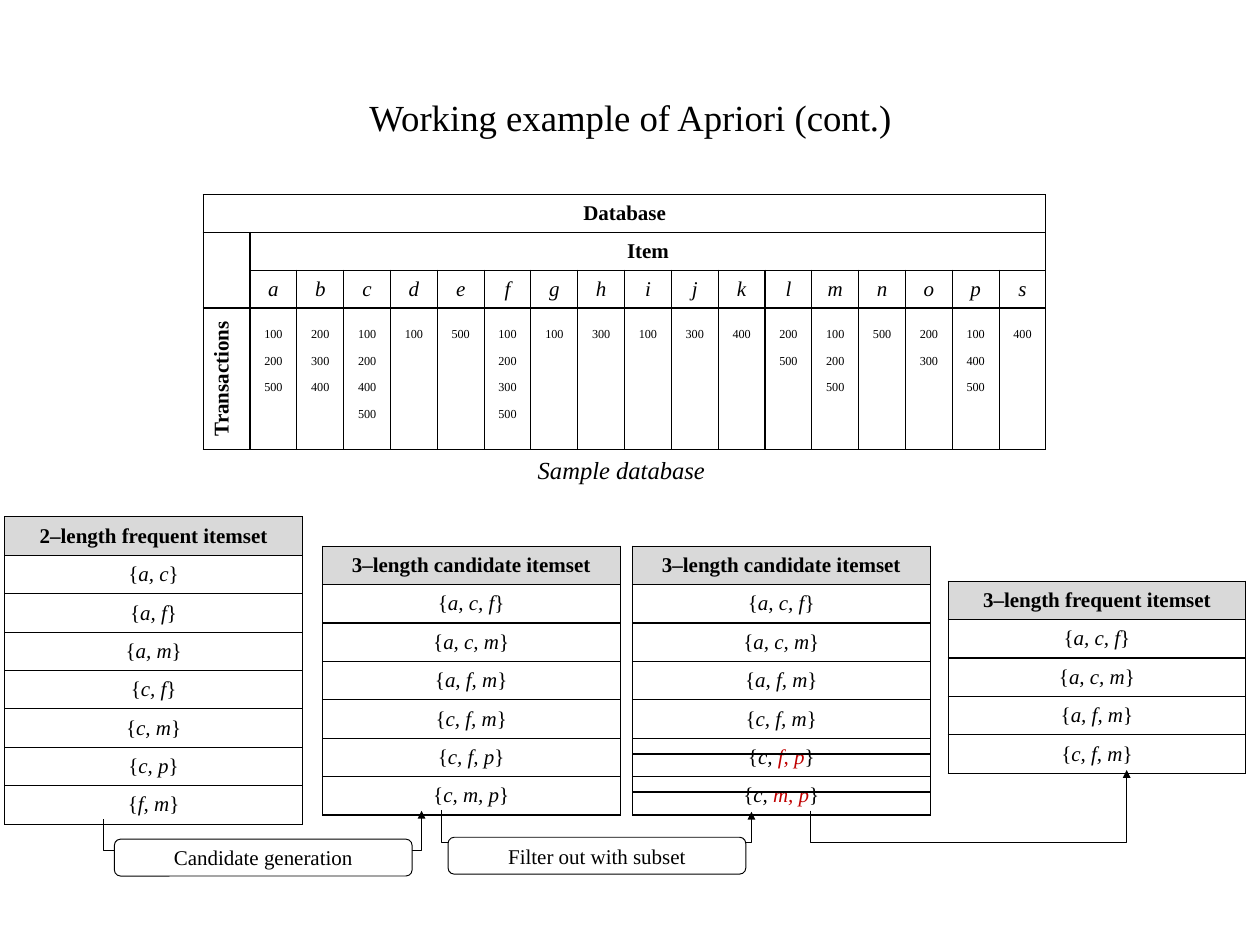
from lxml import etree
from pptx import Presentation
from pptx.dml.color import RGBColor
from pptx.enum.shapes import MSO_CONNECTOR, MSO_SHAPE
from pptx.enum.text import MSO_ANCHOR, PP_ALIGN
from pptx.oxml.ns import qn
from pptx.util import Inches, Pt

STRAIGHT, ELBOW = MSO_CONNECTOR.STRAIGHT, MSO_CONNECTOR.ELBOW
ROUNDED = MSO_SHAPE.ROUNDED_RECTANGLE
CENTER, LEFT = PP_ALIGN.CENTER, PP_ALIGN.LEFT
TOP, MIDDLE = MSO_ANCHOR.TOP, MSO_ANCHOR.MIDDLE
BLACK = RGBColor(0x00, 0x00, 0x00)
WHITE = RGBColor(0xFF, 0xFF, 0xFF)
GRAY = RGBColor(0xD9, 0xD9, 0xD9)
RED = RGBColor(0xC0, 0x00, 0x00)
FONT = "Times New Roman"

# Content: transactions that hold each item
DATABASE = {
    "a": (100, 200, 500), "b": (200, 300, 400), "c": (100, 200, 400, 500),
    "d": (100,), "e": (500,), "f": (100, 200, 300, 500), "g": (100,),
    "h": (300,), "i": (100,), "j": (300,), "k": (400,), "l": (200, 500),
    "m": (100, 200, 500), "n": (500,), "o": (200, 300),
    "p": (100, 400, 500), "s": (400,),
}
PAIRS = ["a, c", "a, f", "a, m", "c, f", "c, m", "c, p", "f, m"]
KEPT = ["a, c, f", "a, c, m", "a, f, m", "c, f, m"]
PRUNED = [("c, ", "f, p"), ("c, ", "m, p")]  # start, infrequent subset
CANDIDATES = KEPT + ["".join(parts) for parts in PRUNED]

ROW, ITEMSET_WIDTH = 0.4, 3.15
FILTER_LEFT, CANDIDATE_TOP = 6.69, 5.78
ITEMSETS = [  # left, top, heading, sets
    (0.05, 5.47, "2–length frequent itemset", PAIRS),
    (3.41, CANDIDATE_TOP, "3–length candidate itemset", CANDIDATES),
    (10.03, 6.15, "3–length frequent itemset", KEPT),
    (FILTER_LEFT, CANDIDATE_TOP, "3–length candidate itemset", KEPT + PRUNED),
]
STEPS = [  # start, end, lowest level, label, label position
    ((1.1, 8.67), (4.46, 8.58), 9.0, "Candidate generation", (1.21, 8.88)),
    ((4.67, 8.57), (7.95, 8.59), 8.91, "Filter out with subset", (4.74, 8.86)),
    ((8.58, 8.58), (11.92, 8.15), 8.92, None, None),
]


def write(paragraph, text, size=16, bold=False, italic=False, color=BLACK, align=CENTER):
    paragraph.alignment = align
    run = paragraph.add_run()
    run.text = text
    font = run.font
    font.name, font.size, font.bold, font.italic = FONT, Pt(size), bold, italic
    font.color.rgb = color
    return run


def prepare_cell(cell, anchor=MIDDLE):
    """Set the insets and return the first paragraph."""
    cell.margin_left = cell.margin_right = Inches(0.13)
    cell.margin_top = cell.margin_bottom = Inches(0.07)
    cell.vertical_anchor = anchor
    return cell.text_frame.paragraphs[0]


def add_grid(slide, left, top, widths, heights):
    """Add a plain white table with thin black borders."""
    table = slide.shapes.add_table(
        len(heights), len(widths), Inches(left), Inches(top),
        Inches(sum(widths)), Inches(sum(heights))).table
    table.first_row = table.horz_banding = False
    for column, width in zip(table.columns, widths):
        column.width = Inches(width)
    for row, height in zip(table.rows, heights):
        row.height = Inches(height)
    for cell in table.iter_cells():
        cell.fill.solid()
        cell.fill.fore_color.rgb = WHITE
        properties = cell._tc.get_or_add_tcPr()
        for index, side in enumerate(("a:lnL", "a:lnR", "a:lnT", "a:lnB")):
            border = etree.Element(qn(side), w=str(Pt(1)))
            fill = etree.SubElement(border, qn("a:solidFill"))
            etree.SubElement(fill, qn("a:srgbClr"), val=str(BLACK))
            properties.insert(index, border)
    return table


def add_database(slide):
    count = len(DATABASE) + 1
    table = add_grid(slide, 2.15, 2.06, [8.92 / count] * count, [ROW] * 3 + [1.5])
    table.cell(0, 0).merge(table.cell(0, count - 1))
    table.cell(1, 1).merge(table.cell(1, count - 1))
    table.cell(1, 0).merge(table.cell(2, 0))
    for row, column, text in ((0, 0, "Database"), (1, 1, "Item"), (3, 0, "Transactions")):
        write(prepare_cell(table.cell(row, column)), text, bold=True)
    table.cell(3, 0)._tc.get_or_add_tcPr().set("vert", "vert270")
    for column, (item, transactions) in enumerate(DATABASE.items(), 1):
        write(prepare_cell(table.cell(2, column)), item, italic=True)
        cell = table.cell(3, column)
        paragraph = prepare_cell(cell, TOP)
        for index, transaction in enumerate(transactions):
            if index:
                paragraph = cell.text_frame.add_paragraph()
            run = write(paragraph, str(transaction))
            run._r.get_or_add_rPr().set("baseline", "-25000")


def add_itemset(slide, left, top, heading, sets):
    table = add_grid(slide, left, top, [ITEMSET_WIDTH], [ROW] * (len(sets) + 1))
    header = table.cell(0, 0)
    header.fill.fore_color.rgb = GRAY
    write(prepare_cell(header), heading, bold=True)
    for row, items in enumerate(sets, 1):
        start, infrequent = (items, "") if isinstance(items, str) else items
        paragraph = prepare_cell(table.cell(row, 0))
        write(paragraph, "{")
        write(paragraph, start, italic=True)
        if infrequent:
            write(paragraph, infrequent, italic=True, color=RED)
        write(paragraph, "}")


def add_line(slide, kind, start, end, width):
    connector = slide.shapes.add_connector(
        kind, *(Inches(value) for value in (*start, *end)))
    connector.line.color.rgb = BLACK
    connector.line.width = Pt(width)
    etree.SubElement(connector._element.spPr, qn("a:effectLst"))
    return connector


def add_u_arrow(slide, start, end, bottom):
    """Go down from start, across at bottom and up to end."""
    span, drop = end[0] - start[0], end[1] - start[1]
    center_x, center_y = (start[0] + end[0]) / 2, (start[1] + end[1]) / 2
    half_width, half_height = abs(drop) / 2, span / 2
    connector = add_line(
        slide, ELBOW, (center_x - half_width, center_y - half_height),
        (center_x + half_width, center_y + half_height), 0.75)
    properties = connector._element.spPr
    # A quarter turn makes the elbow's middle part horizontal
    transform = properties.find(qn("a:xfrm"))
    transform.set("rot", "5400000")
    transform.set("flipV", "1")
    if drop < 0:
        transform.set("flipH", "1")
    adjustments = properties.find(qn("a:prstGeom")).get_or_add_avLst()
    bend = round((bottom - start[1]) / drop * 100000)
    etree.SubElement(adjustments, qn("a:gd"), name="adj1", fmla=f"val {bend}")
    etree.SubElement(connector.line._get_or_add_ln(), qn("a:tailEnd"), type="triangle")


def add_label(slide, text, left, top):
    shape = slide.shapes.add_shape(
        ROUNDED, Inches(left), Inches(top), Inches(ITEMSET_WIDTH), Inches(0.39))
    shape.shadow.inherit = False
    shape.fill.solid()
    shape.fill.fore_color.rgb = WHITE
    shape.line.color.rgb = BLACK
    shape.line.width = Pt(0.75)
    shape.text_frame.word_wrap = False
    shape.text_frame.vertical_anchor = MIDDLE
    write(shape.text_frame.paragraphs[0], text)


def main():
    presentation = Presentation()
    presentation.slide_width, presentation.slide_height = Inches(13.33), Inches(10)
    slide = presentation.slides.add_slide(presentation.slide_layouts[5])

    # Title
    title = slide.shapes.title
    title.left, title.top = Inches(0.67), Inches(0.4)
    title.width, title.height = Inches(12), Inches(1.67)
    title.text_frame.vertical_anchor = MIDDLE
    write(title.text_frame.paragraphs[0], "Working example of Apriori (cont.)", 28)

    # Database and its caption
    add_database(slide)
    caption = slide.shapes.add_textbox(Inches(5.59), Inches(4.76), Inches(1.98), Inches(0.42))
    caption.text_frame.word_wrap = False
    write(caption.text_frame.paragraphs[0], "Sample database", 18.7, italic=True, align=LEFT)

    # Itemsets and the steps between them
    for itemset in ITEMSETS:
        add_itemset(slide, *itemset)
    for start, end, bottom, text, position in STEPS:
        add_u_arrow(slide, start, end, bottom)
        if text:
            add_label(slide, text, *position)

    # Strike out the pruned candidates
    for index in range(len(PRUNED)):
        y = CANDIDATE_TOP + (len(KEPT) + index + 1.5) * ROW
        add_line(slide, STRAIGHT, (FILTER_LEFT, y), (FILTER_LEFT + ITEMSET_WIDTH, y), 1.25)

    presentation.save("out.pptx")


if __name__ == "__main__":
    main()
